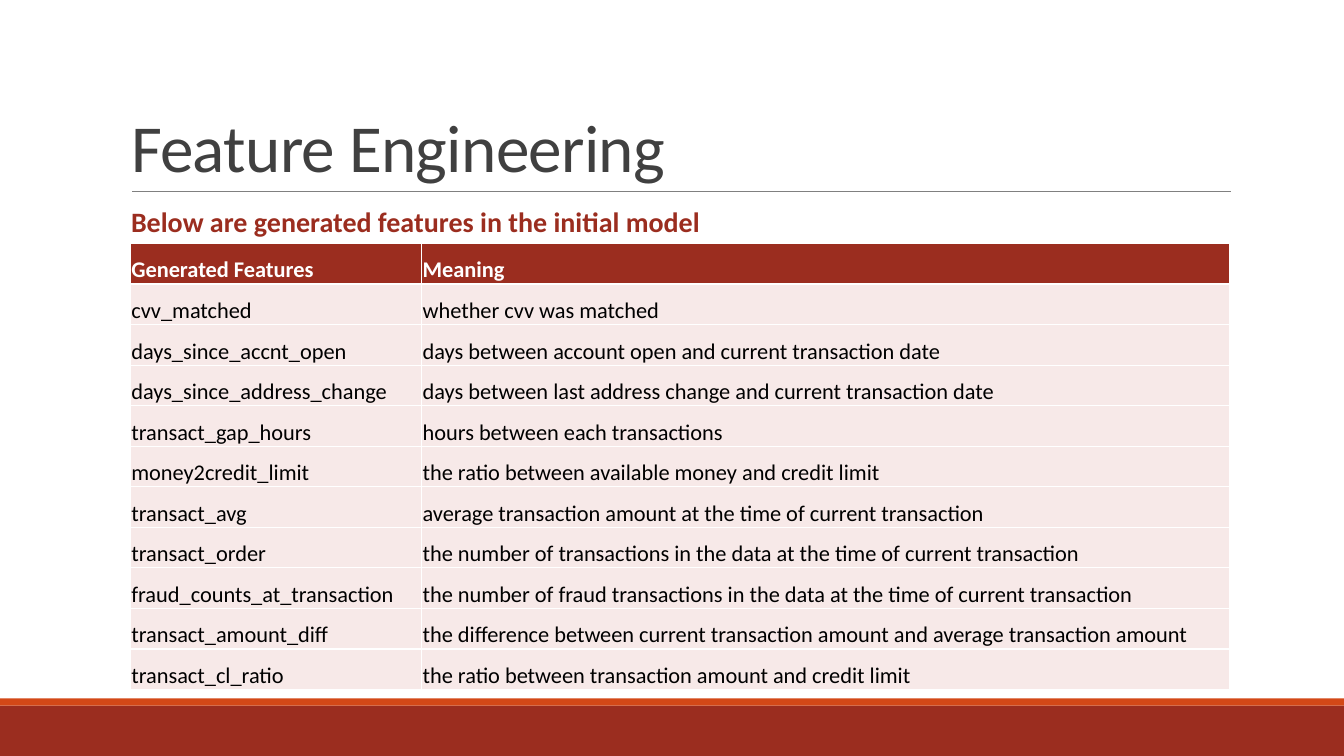
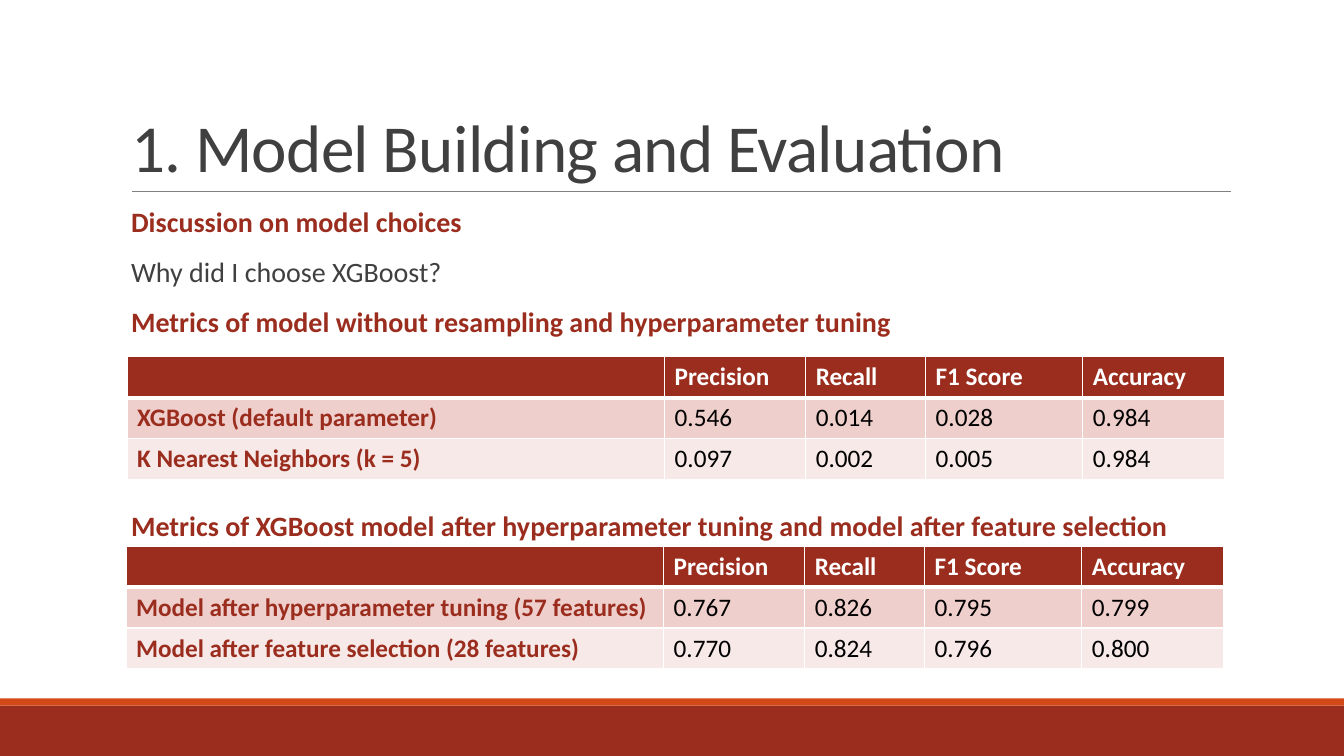
from dataclasses import dataclass

import lxml.etree
import pptx
import pptx.dml.color
import pptx.enum.shapes
import pptx.enum.text
import pptx.oxml.ns
import pptx.presentation
import pptx.shapes.base
import pptx.slide
import pptx.table
import pptx.text.text
import pptx.util

# Palette and type
BRICK = pptx.dml.color.RGBColor(0x9B, 0x2D, 0x1F)
ORANGE = pptx.dml.color.RGBColor(0xD3, 0x48, 0x17)
CHARCOAL = pptx.dml.color.RGBColor(0x40, 0x40, 0x40)
GRAY = pptx.dml.color.RGBColor(0x80, 0x80, 0x80)
ROSE = pptx.dml.color.RGBColor(0xEF, 0xCF, 0xCC)
PALE_ROSE = pptx.dml.color.RGBColor(0xF7, 0xE9, 0xE8)
WHITE = pptx.dml.color.RGBColor(0xFF, 0xFF, 0xFF)
BLACK = pptx.dml.color.RGBColor(0, 0, 0)
FONT = "Calibri"

# Grid: 40 columns by 30 rows
SLIDE_WIDTH = pptx.util.Inches(40 / 3)
SLIDE_HEIGHT = pptx.util.Inches(7.5)
COLUMNS = 40
ROWS = 30


def across(columns: float) -> pptx.util.Emu:
    return pptx.util.Emu(round(SLIDE_WIDTH * columns / COLUMNS))


def down(rows: float) -> pptx.util.Emu:
    return pptx.util.Emu(round(SLIDE_HEIGHT * rows / ROWS))


@dataclass(frozen=True)
class Band:
    top: float
    height: float
    color: pptx.dml.color.RGBColor


@dataclass(frozen=True)
class BodyLine:
    text: str
    heading: bool = True
    space_before: float = 12


@dataclass(frozen=True)
class TableStyle:
    columns: tuple[float, ...]
    row_height: float
    font_size: float
    margins: tuple[float, float, float, float]  # inches: left, top, right, bottom
    anchor: pptx.enum.text.MSO_ANCHOR
    header_rule: float
    row_fills: tuple[pptx.dml.color.RGBColor, ...]
    row_headings: bool


@dataclass(frozen=True)
class TableBlock:
    left: float
    top: float
    style: TableStyle
    rows: tuple[tuple[str, ...], ...]


@dataclass(frozen=True)
class Page:
    title: str
    body: tuple[BodyLine, ...]
    tables: tuple[TableBlock, ...]


# Shared geometry
BANDS = (Band(28, 2, BRICK), Band(27.72, 0.28, ORANGE))
PLACEHOLDER_LEFT, PLACEHOLDER_WIDTH = 3.6, 33
TITLE_TOP, TITLE_HEIGHT = 1.24, 6.36
BODY_TOP, BODY_HEIGHT = 8.08, 19.32
RULE_START, RULE_END, RULE_TOP = 3.93, 36.63, 7.6

FEATURE_STYLE = TableStyle(
    (8.67, 24.06), 1.61, 16, (0.01, 0.01, 0.01, 0),
    pptx.enum.text.MSO_ANCHOR.BOTTOM, 1, (PALE_ROSE,), False,
)
METRIC_STYLE = TableStyle(
    (16, 4.2, 3.57, 4.68, 4.23), 1.62, 18, (0.1, 0.05, 0.1, 0.05),
    pptx.enum.text.MSO_ANCHOR.TOP, 3, (ROSE, PALE_ROSE), True,
)
METRIC_HEADER = ("", "Precision", "Recall", "F1 Score", "Accuracy")

# Content
PAGES = (
    Page(
        "Feature Engineering",
        (BodyLine("Below are generated features in the initial model"),),
        (TableBlock(3.88, 9.66, FEATURE_STYLE, (
            ("Generated Features", "Meaning"),
            ("cvv_matched", "whether cvv was matched"),
            ("days_since_accnt_open", "days between account open and current transaction date"),
            ("days_since_address_change",
             "days between last address change and current transaction date"),
            ("transact_gap_hours", "hours between each transactions"),
            ("money2credit_limit", "the ratio between available money and credit limit"),
            ("transact_avg", "average transaction amount at the time of current transaction"),
            ("transact_order",
             "the number of transactions in the data at the time of current transaction"),
            ("fraud_counts_at_transaction",
             "the number of fraud transactions in the data at the time of current transaction"),
            ("transact_amount_diff",
             "the difference between current transaction amount and average transaction amount"),
            ("transact_cl_ratio", "the ratio between transaction amount and credit limit"),
        )),),
    ),
    Page(
        "1. Model Building and Evaluation",
        (
            BodyLine("Discussion on model choices"),
            BodyLine("Why did I choose XGBoost?", heading=False),
            BodyLine("Metrics of model without resampling and hyperparameter tuning"),
            BodyLine("Metrics of XGBoost model after hyperparameter tuning "
                     "and model after feature selection", space_before=122),
        ),
        (
            TableBlock(3.75, 21.68, METRIC_STYLE, (
                METRIC_HEADER,
                ("Model after hyperparameter tuning (57 features)",
                 "0.767", "0.826", "0.795", "0.799"),
                ("Model after feature selection (28 features)",
                 "0.770", "0.824", "0.796", "0.800"),
            )),
            TableBlock(3.78, 14.16, METRIC_STYLE, (
                METRIC_HEADER,
                ("XGBoost (default parameter)", "0.546", "0.014", "0.028", "0.984"),
                ("K Nearest Neighbors (k = 5)", "0.097", "0.002", "0.005", "0.984"),
            )),
        ),
    ),
)


def add_run(paragraph: pptx.text.text._Paragraph, text: str, size: float,
            color: pptx.dml.color.RGBColor, bold: bool = False) -> pptx.text.text._Run:
    run = paragraph.add_run()
    run.text = text
    run.font.name = FONT
    run.font.size = pptx.util.Pt(size)
    run.font.bold = bold
    run.font.color.rgb = color
    return run


def place(shape: pptx.shapes.base.BaseShape, top: float, height: float) -> None:
    shape.left, shape.top = across(PLACEHOLDER_LEFT), down(top)
    shape.width, shape.height = across(PLACEHOLDER_WIDTH), down(height)


def furnish_layout(layout: pptx.slide.SlideLayout, slide: pptx.slide.Slide) -> None:
    """Place the layout's placeholders and give it the bands and the title rule."""
    place(layout.placeholders[0], TITLE_TOP, TITLE_HEIGHT)
    place(layout.placeholders[1], BODY_TOP, BODY_HEIGHT)
    furniture = []
    for band in BANDS:
        shape = slide.shapes.add_shape(
            pptx.enum.shapes.MSO_SHAPE.RECTANGLE,
            0, down(band.top), SLIDE_WIDTH, down(band.height))
        shape.shadow.inherit = False
        shape.fill.solid()
        shape.fill.fore_color.rgb = band.color
        shape.line.fill.background()
        furniture.append(shape)
    rule = slide.shapes.add_connector(
        pptx.enum.shapes.MSO_CONNECTOR.STRAIGHT,
        across(RULE_START), down(RULE_TOP), across(RULE_END), down(RULE_TOP))
    rule.line.color.rgb = GRAY
    rule.line.width = pptx.util.Pt(0.5)
    properties = rule.element.find(pptx.oxml.ns.qn("p:spPr"))
    lxml.etree.SubElement(properties, pptx.oxml.ns.qn("a:effectLst"))
    furniture.append(rule)
    # Shapes are drawn on a slide, then handed to its layout
    for shape in furniture:
        layout.shapes.element.append(shape.element)


def write_title(slide: pptx.slide.Slide, text: str) -> None:
    frame = slide.shapes.title.text_frame
    frame.auto_size = pptx.enum.text.MSO_AUTO_SIZE.NONE
    frame.vertical_anchor = pptx.enum.text.MSO_ANCHOR.BOTTOM
    paragraph = frame.paragraphs[0]
    paragraph.alignment = pptx.enum.text.PP_ALIGN.LEFT
    paragraph.line_spacing = 0.85
    run = add_run(paragraph, text, 48, CHARCOAL)
    run.font._element.set("spc", "-50")


def write_body(slide: pptx.slide.Slide, lines: tuple[BodyLine, ...]) -> None:
    frame = slide.placeholders[1].text_frame
    frame.auto_size = pptx.enum.text.MSO_AUTO_SIZE.NONE
    frame.margin_left = frame.margin_right = 0
    for index, line in enumerate(lines):
        paragraph = frame.add_paragraph() if index else frame.paragraphs[0]
        paragraph.line_spacing = 0.9
        paragraph.space_before = pptx.util.Pt(line.space_before)
        paragraph.space_after = pptx.util.Pt(2)
        # Indented text without a bullet
        properties = paragraph._p.get_or_add_pPr()
        properties.set("marL", str(pptx.util.Inches(0.1)))
        properties.set("indent", "0")
        lxml.etree.SubElement(properties, pptx.oxml.ns.qn("a:buNone"))
        add_run(paragraph, line.text, 20, BRICK if line.heading else CHARCOAL, line.heading)


def set_borders(cell: pptx.table._Cell, top: float, bottom: float) -> None:
    properties = cell._tc.get_or_add_tcPr()
    widths = {"a:lnL": 1, "a:lnR": 1, "a:lnT": top, "a:lnB": bottom}
    for index, (tag, width) in enumerate(widths.items()):
        border = lxml.etree.Element(pptx.oxml.ns.qn(tag), w=str(pptx.util.Pt(width)))
        fill = lxml.etree.SubElement(border, pptx.oxml.ns.qn("a:solidFill"))
        lxml.etree.SubElement(fill, pptx.oxml.ns.qn("a:srgbClr"), val=str(WHITE))
        properties.insert(index, border)


def fill_cell(cell: pptx.table._Cell, text: str, row: int, column: int,
              style: TableStyle) -> None:
    header = row == 0
    heading = style.row_headings and column == 0
    left, top, right, bottom = map(pptx.util.Inches, style.margins)
    cell.margin_left, cell.margin_top = left, top
    cell.margin_right, cell.margin_bottom = right, bottom
    cell.vertical_anchor = style.anchor
    cell.fill.solid()
    cell.fill.fore_color.rgb = (
        BRICK if header else style.row_fills[(row - 1) % len(style.row_fills)])
    set_borders(cell, style.header_rule if row == 1 else 1,
                style.header_rule if header else 1)
    if text:
        color = WHITE if header else BRICK if heading else BLACK
        add_run(cell.text_frame.paragraphs[0], text, style.font_size, color,
                header or heading)


def draw_table(slide: pptx.slide.Slide, block: TableBlock) -> None:
    style = block.style
    table = slide.shapes.add_table(
        len(block.rows), len(style.columns), across(block.left), down(block.top),
        across(sum(style.columns)), down(style.row_height * len(block.rows))).table
    for column, width in zip(table.columns, style.columns):
        column.width = across(width)
    for row_index, texts in enumerate(block.rows):
        table.rows[row_index].height = down(style.row_height)
        for column_index, text in enumerate(texts):
            fill_cell(table.cell(row_index, column_index), text,
                      row_index, column_index, style)


def build() -> pptx.presentation.Presentation:
    presentation = pptx.Presentation()
    presentation.slide_width = SLIDE_WIDTH
    presentation.slide_height = SLIDE_HEIGHT
    layout = presentation.slide_layouts[1]
    for index, page in enumerate(PAGES):
        slide = presentation.slides.add_slide(layout)
        if index == 0:
            furnish_layout(layout, slide)
        write_title(slide, page.title)
        write_body(slide, page.body)
        for block in page.tables:
            draw_table(slide, block)
    return presentation


build().save("out.pptx")
